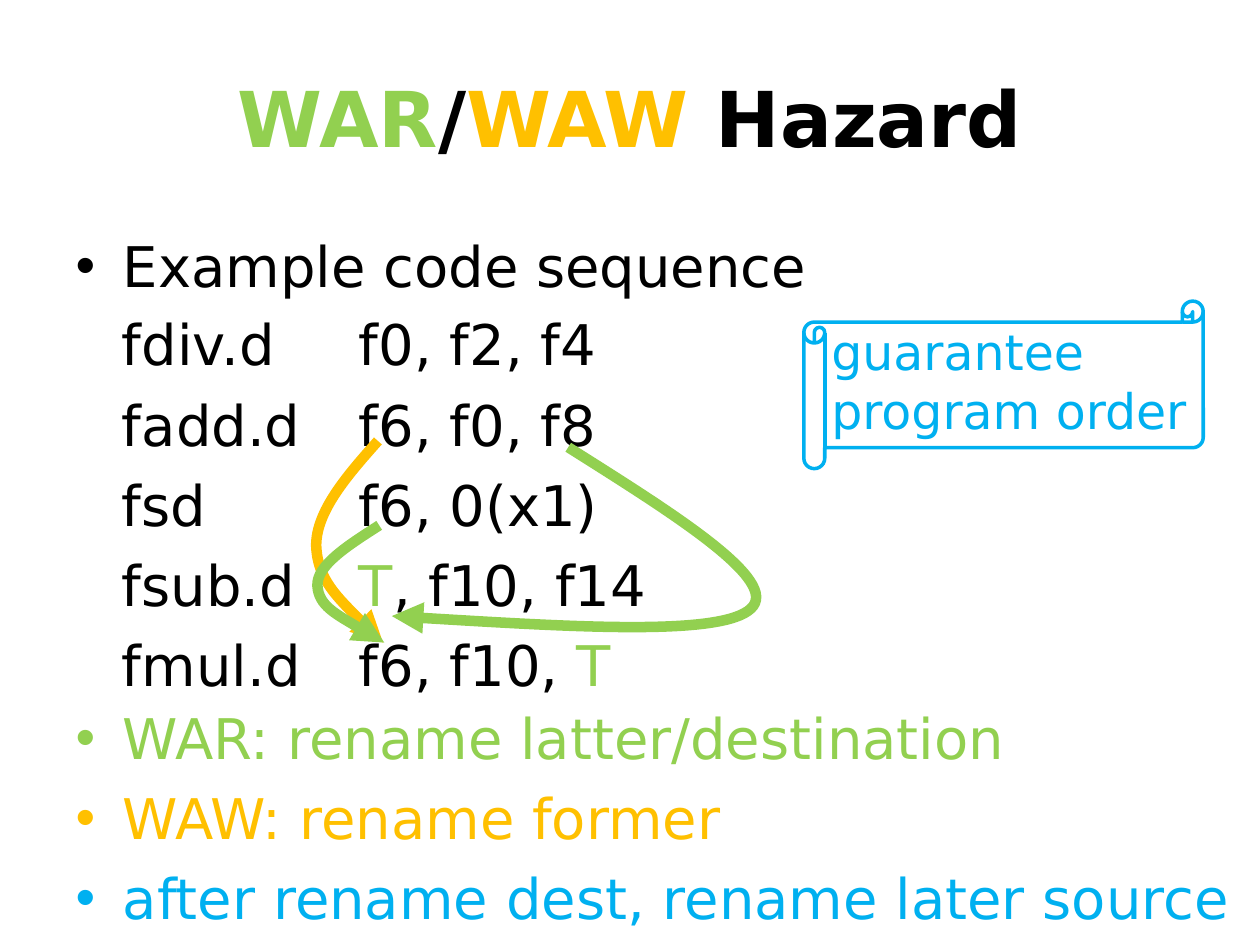
from typing import NamedTuple

from lxml import etree
from pptx import Presentation
from pptx.dml.color import RGBColor
from pptx.enum.shapes import MSO_SHAPE
from pptx.enum.text import MSO_AUTO_SIZE, PP_ALIGN
from pptx.oxml.ns import qn
from pptx.util import Inches, Pt

SCROLL = MSO_SHAPE.HORIZONTAL_SCROLL
NO_AUTOFIT = MSO_AUTO_SIZE.NONE
CENTER = PP_ALIGN.CENTER

COLORS = {
    "black": "000000",
    "green": "92D050",
    "orange": "FFC000",
    "blue": "00B0F0",
}
FONT = "DejaVu Sans"
BODY_SIZE = 32
LINE_HEIGHT = 37.25  # points, one body line
LINE_SPACE = 7.45  # points, a fifth of a line
CODE_LINES = 5


class Run(NamedTuple):
    text: str
    color: str = "black"


class CodeColumn(NamedTuple):
    left: float
    lines: list[list[Run]]


class HazardArrow(NamedTuple):
    color: str
    points: list[tuple[float, float]]  # start, then three points per curve


TITLE = [Run("WAR", "green"), Run("/"), Run("WAW", "orange"), Run(" Hazard")]
BULLETS = [
    Run("Example code sequence"),
    Run("WAR: rename latter/destination", "green"),
    Run("WAW: rename former", "orange"),
    Run("after rename dest, rename later source", "blue"),
]
CODE_COLUMNS = [
    CodeColumn(0.87, [[Run(name)] for name in
                      ("fdiv.d", "fadd.d", "fsd", "fsub.d", "fmul.d")]),
    CodeColumn(2.75, [
        [Run("f0, f2, f4")],
        [Run("f6, f0, f8")],
        [Run("f6, 0(x1)")],
        [Run("T", "green"), Run(", f10, f14")],
        [Run("f6, f10, "), Run("T", "green")],
    ]),
]
ARROWS = [
    HazardArrow("orange", [(3, 3.5), (2.75, 3.78), (2.51, 4.06), (2.51, 4.33),
                           (2.52, 4.6), (2.78, 4.85), (3.04, 5.1)]),
    HazardArrow("green", [(3.01, 4.17), (2.76, 4.33), (2.51, 4.49), (2.52, 4.65),
                          (2.53, 4.81), (2.79, 4.95), (3.05, 5.1)]),
    HazardArrow("green", [(4.51, 3.55), (5.35, 4.08), (6.2, 4.61), (5.96, 4.83),
                          (5.73, 5.05), (4.42, 4.97), (3.11, 4.89)]),
]


def rgb(color: str) -> RGBColor:
    return RGBColor.from_string(COLORS[color])


def place(shape, left: float, top: float, width: float, height: float) -> None:
    shape.left, shape.top = Inches(left), Inches(top)
    shape.width, shape.height = Inches(width), Inches(height)


def write_runs(paragraph, runs: list[Run], size: float, bold: bool = False) -> None:
    paragraph.font.name = FONT
    paragraph.font.size = Pt(size)
    paragraph.font.bold = bold
    for item in runs:
        run = paragraph.add_run()
        run.text = item.text
        run.font.name = FONT
        run.font.size = Pt(size)
        run.font.color.rgb = rgb(item.color)


def write_lines(frame, lines: list[list[Run]], size: float) -> None:
    frame.word_wrap = True
    frame.auto_size = NO_AUTOFIT
    for index, runs in enumerate(lines):
        paragraph = frame.add_paragraph() if index else frame.paragraphs[0]
        paragraph.space_before = Pt(LINE_SPACE if index else 0)
        write_runs(paragraph, runs, size)


def outline(shape, color: str, width: float) -> None:
    shape.shadow.inherit = False
    shape.fill.background()
    shape.line.color.rgb = rgb(color)
    shape.line.width = Pt(width)


def draw_arrow(slide, arrow: HazardArrow) -> None:
    points = [(Inches(x), Inches(y)) for x, y in arrow.points]
    builder = slide.shapes.build_freeform(*points[0], scale=1.0)
    builder.add_line_segments(points[1:], close=False)
    shape = builder.convert_to_shape()
    outline(shape, arrow.color, 6)

    # Turn each three segments into one Bezier curve
    segments = shape._element.xpath(".//a:lnTo")
    for start in range(0, len(segments), 3):
        group = segments[start:start + 3]
        curve = etree.SubElement(group[0].getparent(), qn("a:cubicBezTo"))
        for segment in group:
            curve.append(segment[0])
            segment.getparent().remove(segment)

    line = shape._element.spPr.find(qn("a:ln"))
    etree.SubElement(line, qn("a:tailEnd"), type="triangle")


def main() -> None:
    presentation = Presentation()
    presentation.slide_width, presentation.slide_height = Inches(10), Inches(7.5)
    slide = presentation.slides.add_slide(presentation.slide_layouts[1])

    # Title
    title = slide.shapes.title
    place(title, 0, 0.3, 10, 1.25)
    title.text_frame.paragraphs[0].alignment = CENTER
    write_runs(title.text_frame.paragraphs[0], TITLE, 44, bold=True)

    # Bullets, with room for the code after the first one
    body = slide.placeholders[1]
    place(body, 0.5, 1.75, 9.5, 4.95)
    body.text_frame.margin_top = Inches(0.09)
    write_lines(body.text_frame, [[bullet] for bullet in BULLETS], BODY_SIZE)
    code_height = CODE_LINES * (LINE_HEIGHT + LINE_SPACE)
    body.text_frame.paragraphs[1].space_before = Pt(code_height + LINE_SPACE)

    # Code columns
    for column in CODE_COLUMNS:
        box = slide.shapes.add_textbox(
            Inches(column.left), Inches(2.41), Inches(3.83), Inches(3.2))
        write_lines(box.text_frame, column.lines, BODY_SIZE)

    # Hazard arrows
    for arrow in ARROWS:
        draw_arrow(slide, arrow)

    # Scroll with its remark
    scroll = slide.shapes.add_shape(
        SCROLL, Inches(6.38), Inches(2.39), Inches(3.17), Inches(1.33))
    outline(scroll, "blue", 2)
    remark = slide.shapes.add_textbox(
        Inches(6.5), Inches(2.47), Inches(3.38), Inches(1.17))
    remark.text_frame.margin_top = Inches(0.08)
    write_lines(remark.text_frame, [[Run("guarantee program order", "blue")]], 28)

    presentation.save("out.pptx")


if __name__ == "__main__":
    main()
